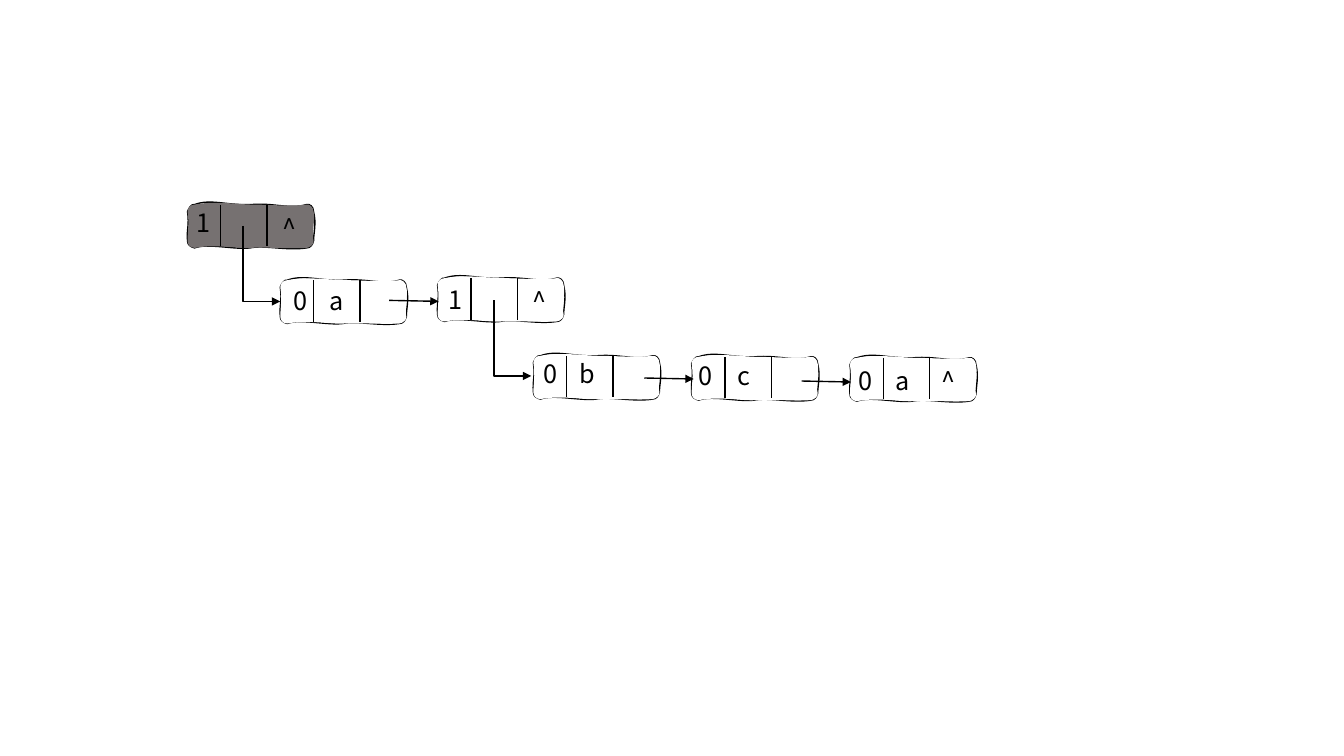
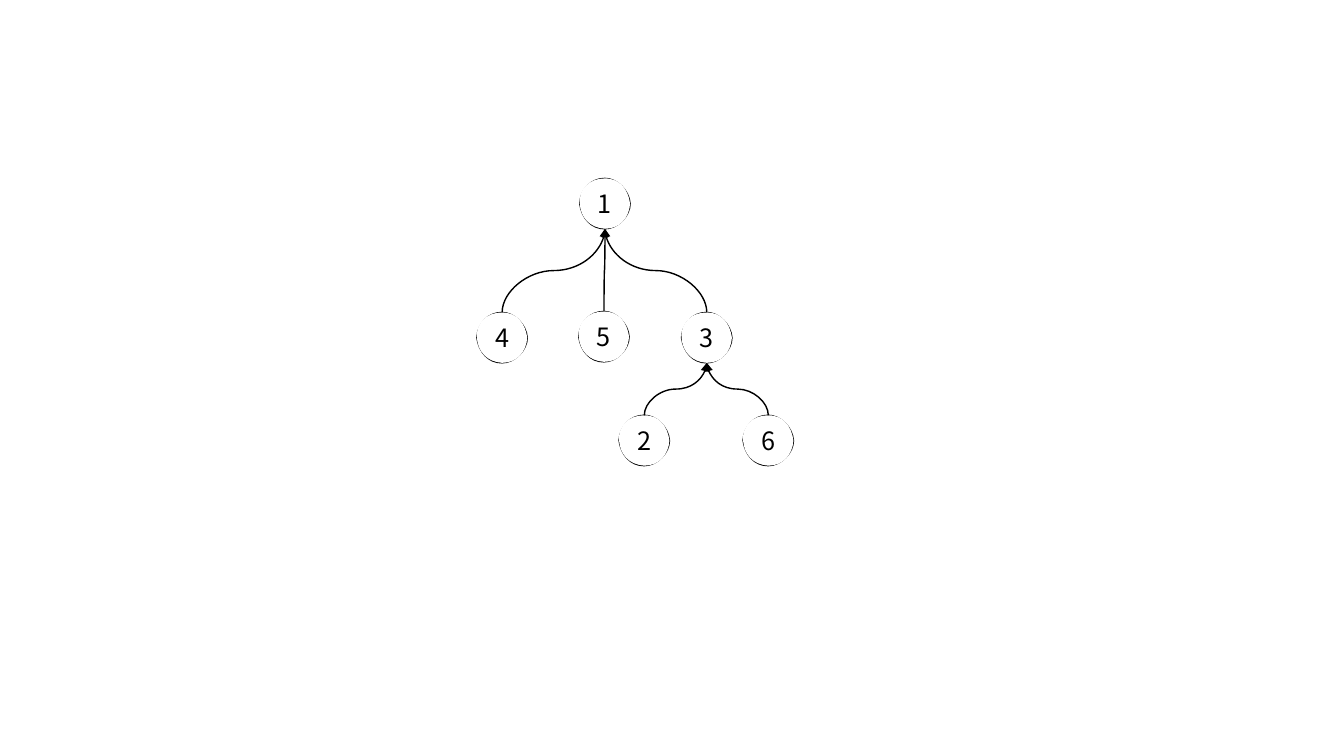
"""Draws a generalized list and a parent tree on a grid of hundredths of an inch."""
from dataclasses import dataclass

from pptx import Presentation
from pptx import util as u
from pptx.dml.color import RGBColor
from pptx.enum import shapes, text
from pptx.oxml import ns, xmlchemy

KIND = shapes.MSO_CONNECTOR


@dataclass(frozen=True)
class Theme:
    """Colours and type of the deck."""
    ink: RGBColor = RGBColor.from_string("000000")
    paper: RGBColor = RGBColor.from_string("FFFFFF")
    head: RGBColor = RGBColor.from_string("767171")
    font: str = "Noto Sans CJK SC"
    size: int = 18
    line: int = 1


THEME = Theme()
CELL = u.Inches(0.01)
WIDE, HIGH = 1333, 750
BOX = (125, 43)
DISC = (50, 50)

BOX_EDGE = [
    (0, 7), (1, 4), (4, -1), (7, 0), (23, -6), (39, 1), (63, 0),
    (86, -2), (101, 5), (118, 0), (121, -1), (125, 2), (125, 7),
    (128, 19), (125, 28), (125, 36), (124, 40), (122, 43), (118, 43),
    (99, 46), (76, 40), (62, 43), (47, 45), (20, 38), (7, 43),
    (3, 42), (0, 40), (0, 36), (-1, 24), (2, 21), (0, 7),
]
BOX_FILL = [
    (0, 7), (0, 3), (3, 0), (7, 0), (26, -4), (52, 0), (65, 0),
    (78, 0), (104, 2), (118, 0), (121, -1), (125, 3), (125, 7),
    (127, 13), (123, 29), (125, 36), (126, 39), (121, 43), (118, 43),
    (100, 44), (75, 42), (63, 43), (50, 44), (29, 39), (7, 43),
    (2, 43), (0, 39), (0, 36), (0, 28), (2, 20), (0, 7),
]
DISC_EDGE = [
    (0, 25), (1, 11), (11, 0), (25, 0), (37, 0), (49, 12), (50, 25),
    (50, 37), (38, 50), (25, 50), (11, 50), (2, 39), (0, 25),
]
DISC_FILL = [
    (0, 25), (-1, 10), (10, 0), (25, 0), (40, 0), (48, 11), (50, 25),
    (49, 39), (40, 50), (25, 50), (10, 49), (1, 39), (0, 25),
]

BOXES = [
    (186, 203, THEME.head, [("1", -1, -2), ("^", 84, 3)]),
    (278, 278, THEME.paper, [("0", 3, 0), ("a", 39, 0)]),
    (434, 276, THEME.paper, [("1", 1, 1), ("^", 84, 2)]),
    (529, 353, THEME.paper, [("0", 0, -2), ("b", 36, -2)]),
    (686, 354, THEME.paper, [("0", -3, -1), ("c", 36, -1)]),
    (843, 355, THEME.paper, [("0", -1, 3), ("a", 35, 3), ("^", 81, 3)]),
]
DOWN = [((241, 224), (278, 299)), ((490, 298), (527, 373))]
NEXT = [((386, 298), (435, 299)), ((639, 375), (688, 376)), ((795, 378), (844, 379))]
NODES = {
    "1": (575, 177), "4": (473, 310), "5": (574, 309),
    "3": (676, 310), "2": (614, 412), "6": (737, 412),
}
LINKS = [("4", "1"), ("5", "1"), ("3", "1"), ("2", "3"), ("6", "3")]


def style(frame, words):
    """Put words in a text frame in the theme's type."""
    frame.text = words
    font = frame.paragraphs[0].runs[0].font
    font.name, font.size = THEME.font, u.Pt(THEME.size)
    font.color.rgb = THEME.ink


def element(tag, **traits):
    """Make a drawing element with its attributes."""
    made = xmlchemy.OxmlElement(f"a:{tag}")
    for name, value in traits.items():
        made.set(name, str(value))
    return made


def curve(size, knots, **traits):
    """Make a closed outline of cubic curves."""
    loop = element("path", w=size[0], h=size[1], **traits)
    steps = [("moveTo", knots[:1])]
    steps += [("cubicBezTo", knots[i:i + 3]) for i in range(1, len(knots), 3)]
    for tag, points in steps:
        step = element(tag)
        step.extend(element("pt", x=x, y=y) for x, y in points)
        loop.append(step)
    loop.append(element("close"))
    return loop


def sketch(slide, spot, size, edge, inner, fill):
    """Draw a hand-drawn outline with its own loose fill on top."""
    (left, top), (wide, high) = spot, size
    pen = slide.shapes.build_freeform(left, top, scale=CELL)
    pen.add_line_segments([(left + wide, top), (left + wide, top + high), (left, top + high)])
    shape = pen.convert_to_shape()
    shape.shadow.inherit = False
    shape.fill.solid()
    shape.fill.fore_color.rgb = fill
    shape.line.color.rgb = THEME.ink
    shape.line.width = u.Pt(THEME.line)
    loops = next(shape.element.iter(ns.qn("a:pathLst")))
    loops[:] = [curve(size, edge, fill="none"), curve(size, inner, stroke=0)]
    return shape


def wire(slide, start, end, kind=KIND.STRAIGHT, arrow=True):
    """Draw a line; bent and curved ones leave upright."""
    (x1, y1), (x2, y2) = start, end
    dx, dy = x2 - x1, y2 - y1
    turn = 0
    if kind != KIND.STRAIGHT:
        turn = 270 if dx < 0 or dy > 0 else 90
        run, rise = (-dy, dx) if turn == 270 else (dy, -dx)
        mid, level = (x1 + x2) / 2, (y1 + y2) / 2
        x1, x2 = mid - run / 2, mid + run / 2
        y1, y2 = level - rise / 2, level + rise / 2
    line = slide.shapes.add_connector(kind, *(round(n * CELL) for n in (x1, y1, x2, y2)))
    line.line.color.rgb = THEME.ink
    line.line.width = u.Pt(THEME.line)
    props = line.element.spPr
    if turn:
        props.find(ns.qn("a:xfrm")).set("rot", str(turn * 60000))
    if kind == KIND.ELBOW:
        props.find(ns.qn("a:prstGeom")).set("prst", "bentConnector2")
    if arrow:
        props.find(ns.qn("a:ln")).append(element("tailEnd", type="triangle"))
    props.append(element("effectLst"))


def label(slide, words, left, top):
    """Add a short unwrapped label."""
    width = 37 if words == "^" else 34
    box = slide.shapes.add_textbox(*(n * CELL for n in (left, top, width, 40)))
    box.text_frame.word_wrap = False
    box.text_frame.auto_size = text.MSO_AUTO_SIZE.SHAPE_TO_FIT_TEXT
    style(box.text_frame, words)


def cell(slide, left, top, fill):
    """Draw a list cell with three fields."""
    sketch(slide, (left, top), BOX, BOX_EDGE, BOX_FILL, fill)
    for x in (left + 33, left + 79):
        wire(slide, (x, top), (x, top + 41), arrow=False)


def disc(slide, words, spot):
    """Draw a tree node with a centred number."""
    frame = sketch(slide, spot, DISC, DISC_EDGE, DISC_FILL, THEME.paper).text_frame
    frame.vertical_anchor = text.MSO_ANCHOR.MIDDLE
    style(frame, words)
    frame.paragraphs[0].alignment = text.PP_ALIGN.CENTER


def chain(slide):
    """Draw the linked list."""
    for left, top, fill, _ in BOXES:
        cell(slide, left, top, fill)
    for ends in DOWN:
        wire(slide, *ends, kind=KIND.ELBOW)
    for ends in NEXT:
        wire(slide, *ends)
    for left, top, _, marks in BOXES:
        for words, x, y in marks:
            label(slide, words, left + x, top + y)


def tree(slide):
    """Draw the tree whose arrows point at parents."""
    for words, spot in NODES.items():
        disc(slide, words, spot)
    wide, high = DISC
    for child, root in LINKS:
        (x1, y1), (x2, y2) = NODES[child], NODES[root]
        wire(slide, (x1 + wide // 2, y1), (x2 + wide // 2, y2 + high), KIND.CURVE)


def main():
    """Build and save the deck."""
    deck = Presentation()
    deck.slide_width, deck.slide_height = WIDE * CELL, HIGH * CELL
    for draw in (chain, tree):
        draw(deck.slides.add_slide(deck.slide_layouts[6]))
    deck.save("out.pptx")


if __name__ == "__main__":
    main()
